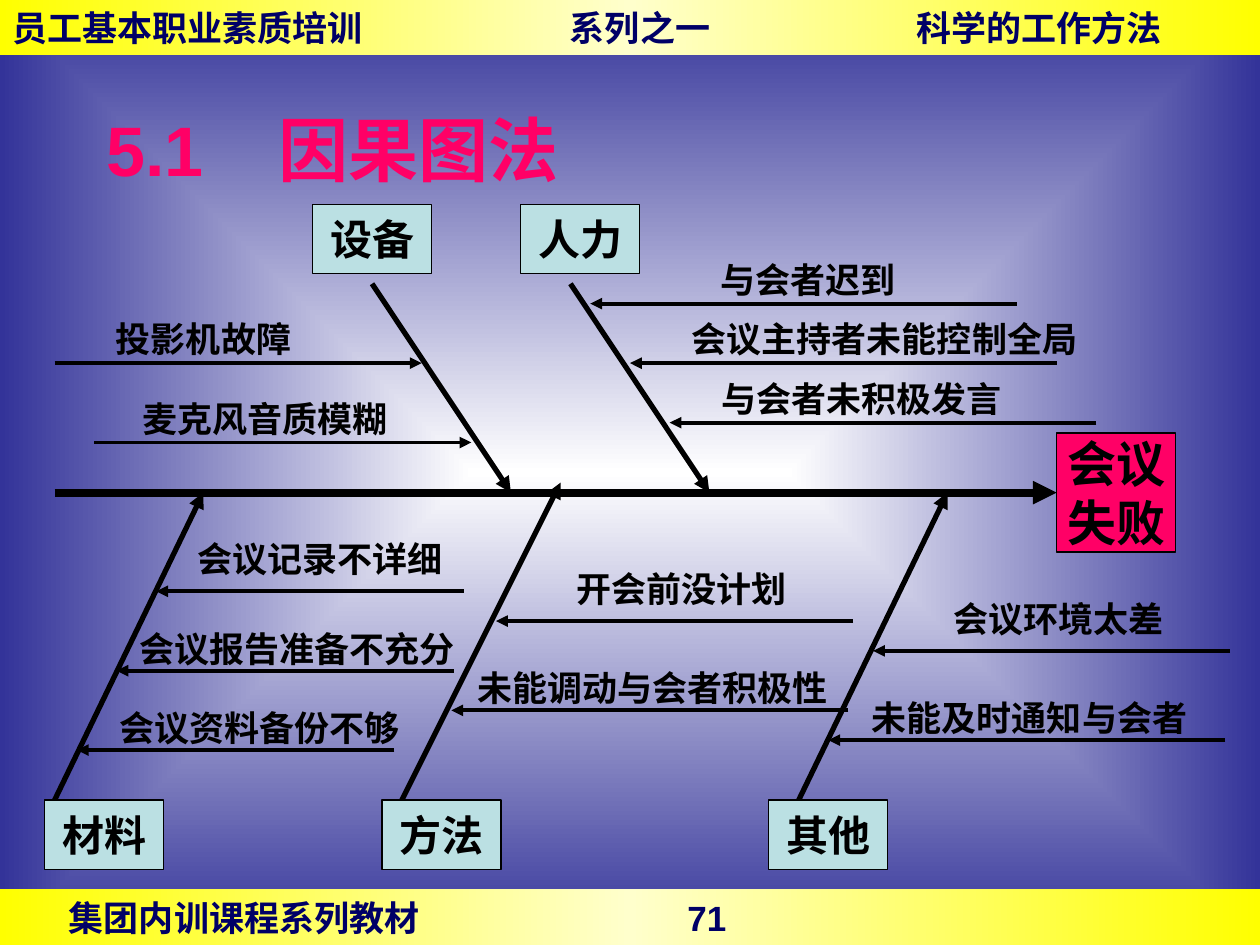
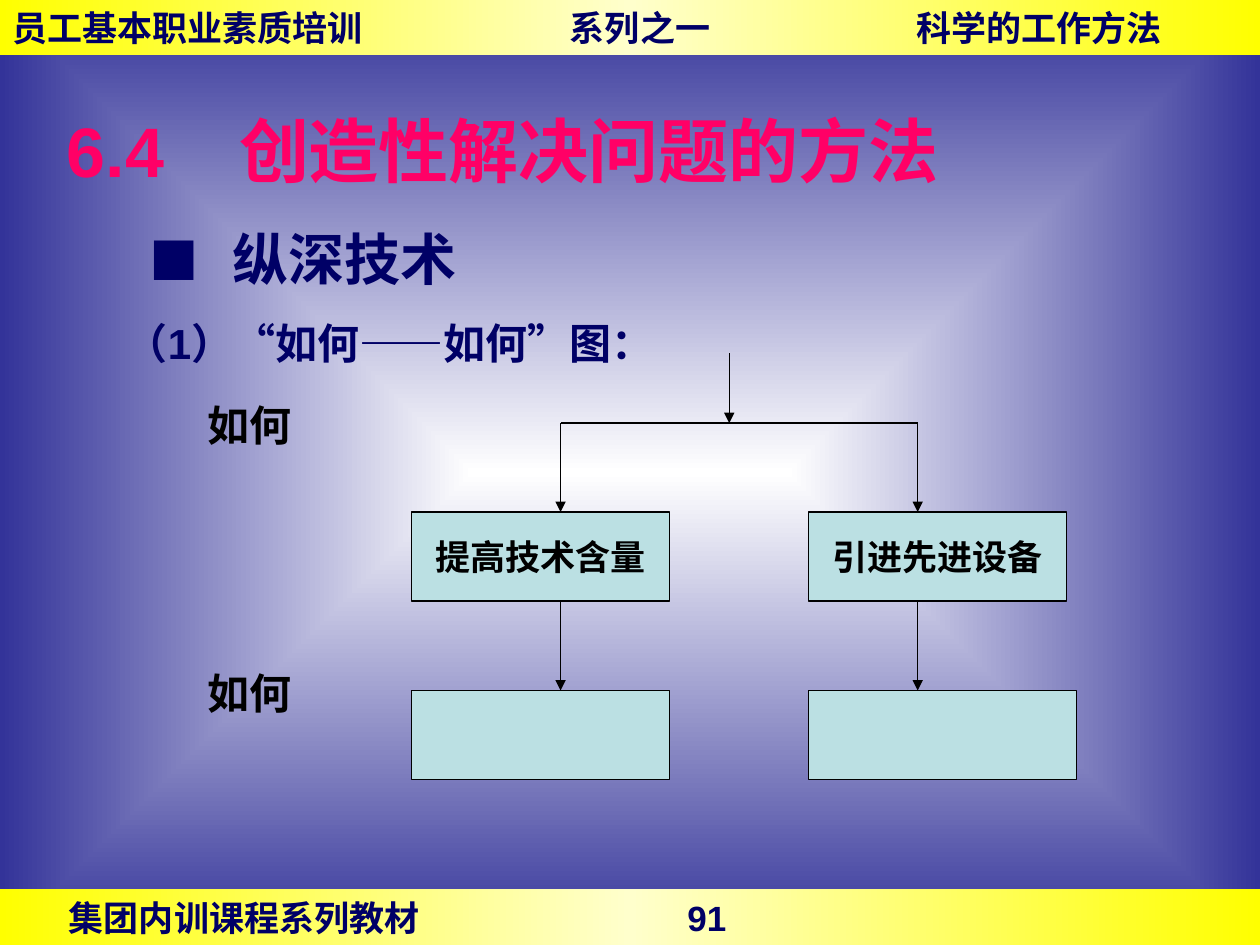
from lxml.etree import SubElement
from pptx import Presentation
from pptx.dml.color import RGBColor
from pptx.enum.lang import MSO_LANGUAGE_ID
from pptx.enum.shapes import MSO_CONNECTOR, MSO_SHAPE
from pptx.enum.text import MSO_ANCHOR, MSO_AUTO_SIZE, PP_ALIGN
from pptx.oxml.ns import qn
from pptx.util import Cm, Pt

BLACK, NAVY, PINK, PALE_BLUE = "000000", "000066", "FF0066", "BBE0E3"
BAND_STOPS = [(0, "FFFF00"), (50, "FFFFCC"), (100, "FFFF00")]
BACKGROUND_STOPS = [(0, "FFFFFF"), (100, "333399")]
SLIDE_WIDTH, SLIDE_HEIGHT, BAND_HEIGHT = 25.4, 19.05, 1.12
LABEL_MARGIN = 0.28
CM_PER_POINT = 2.54 / 72

SPINE_Y = 9.93
CATEGORY_WIDTH, CATEGORY_HEIGHT = 2.4, 1.4
UPPER_TOP, LOWER_TOP = 4.12, 16.13
UPPER_BONE_Y = 5.72

# name, box left, box top, bone start, bone end
CATEGORIES = [
    ("设备", 6.3, UPPER_TOP, (7.5, UPPER_BONE_Y), (10.3, SPINE_Y)),
    ("人力", 10.5, UPPER_TOP, (11.5, UPPER_BONE_Y), (14.3, SPINE_Y)),
    ("材料", 0.9, LOWER_TOP, (1.1, LOWER_TOP), (4.1, SPINE_Y)),
    ("方法", 7.7, LOWER_TOP, (8.1, LOWER_TOP), (11.3, 9.73)),
    ("其他", 15.5, LOWER_TOP, (16.1, LOWER_TOP), (19.1, SPINE_Y)),
]

# cause, label left, label rise above its arrow, arrow start x, arrow end x, arrow y
CAUSES = [
    ("投影机故障", 2.06, 1.04, 1.1, 8.5, 7.32),
    ("麦克风音质模糊", 2.59, 1.04, 1.9, 9.5, 8.92),
    ("与会者迟到", 14.25, 1.04, 20.5, 11.9, 6.12),
    ("会议主持者未能控制全局", 13.67, 1.04, 21.3, 12.7, 7.32),
    ("与会者未积极发言", 14.27, 1.04, 22.1, 13.5, 8.52),
    ("会议记录不详细", 3.7, 1.2, 9.35, 3.15, 11.92),
    ("会议报告准备不充分", 2.54, 1, 9.15, 2.35, 13.52),
    ("会议资料备份不够", 2.13, 1, 7.95, 1.55, 15.12),
    ("开会前没计划", 11.35, 1.2, 17.2, 10, 12.52),
    ("未能调动与会者积极性", 9.35, 1, 17.1, 9.1, 14.32),
    ("会议环境太差", 18.95, 1.2, 24.8, 17.6, 13.12),
    ("未能及时通知与会者", 17.3, 1, 24.7, 16.7, 14.92),
]


def rgb(code):
    return RGBColor.from_string(code)


def set_gradient(fill, properties, stops, direction, **attributes):
    """Give the fill held in properties these stops and a lin or path direction."""
    fill.gradient()
    gradient = properties.find(qn("a:gradFill"))
    for child in list(gradient):
        gradient.remove(child)
    stop_list = SubElement(gradient, qn("a:gsLst"))
    for percent, code in stops:
        stop = SubElement(stop_list, qn("a:gs"), pos=str(percent * 1000))
        SubElement(stop, qn("a:srgbClr"), val=code)
    return SubElement(gradient, qn(f"a:{direction}"), **attributes)


def paint_background(master):
    fill = master.background.fill
    properties = master.element.find(".//" + qn("p:bgPr"))
    path = set_gradient(fill, properties, BACKGROUND_STOPS, "path", path="rect")
    SubElement(path, qn("a:fillToRect"), l="50000", t="50000", r="50000", b="50000")


def write(frame, text, size=20, color=BLACK, align=PP_ALIGN.LEFT,
          anchor=MSO_ANCHOR.MIDDLE, wrap=True, tabs=()):
    """Fill a text frame, one paragraph for each line of text."""
    frame.word_wrap = wrap
    frame.vertical_anchor = anchor
    for index, line in enumerate(text.split("\n")):
        paragraph = frame.add_paragraph() if index else frame.paragraphs[0]
        paragraph.alignment = align
        if tabs:
            tab_list = SubElement(paragraph._p.get_or_add_pPr(), qn("a:tabLst"))
            for stop in tabs:
                SubElement(tab_list, qn("a:tab"), pos=str(Cm(stop)), algn="l")
        add_run(paragraph, line, size, color)


def add_run(paragraph, text, size, color):
    run = paragraph.add_run()
    run.text = text
    run.font.name = "Arial"
    run.font.size = Pt(size)
    run.font.bold = True
    run.font.color.rgb = rgb(color)
    run.font.language_id = MSO_LANGUAGE_ID.SIMPLIFIED_CHINESE


def add_rectangle(slide, left, top, width, height):
    rectangle = slide.shapes.add_shape(
        MSO_SHAPE.RECTANGLE, Cm(left), Cm(top), Cm(width), Cm(height))
    rectangle.shadow.inherit = False
    return rectangle


def add_band(slide, top, text, tabs):
    band = add_rectangle(slide, 0, top, SLIDE_WIDTH, BAND_HEIGHT)
    set_gradient(band.fill, band.element.spPr, BAND_STOPS, "lin", ang="10800000")
    band.line.fill.background()
    write(band.text_frame, text, color=NAVY, tabs=tabs)


def add_box(slide, text, left, top, width, height, size=24, fill=PALE_BLUE):
    box = add_rectangle(slide, left, top, width, height)
    box.fill.solid()
    box.fill.fore_color.rgb = rgb(fill)
    box.line.color.rgb = rgb(BLACK)
    box.line.width = Pt(0.75)
    if text:
        write(box.text_frame, text, size=size, align=PP_ALIGN.CENTER, wrap=False)
    return box


def add_text(slide, text, left, top, width, height, **style):
    area = slide.shapes.add_textbox(Cm(left), Cm(top), Cm(width), Cm(height))
    write(area.text_frame, text, **style)
    return area


def add_label(slide, text, left, top, size=20):
    """Add a one-line label whose box fits its full-width characters."""
    width = len(text) * size * CM_PER_POINT + 2 * LABEL_MARGIN
    label = add_text(slide, text, left, top, width, 1.12, size=size,
                     align=PP_ALIGN.CENTER, anchor=MSO_ANCHOR.TOP, wrap=False)
    label.text_frame.auto_size = MSO_AUTO_SIZE.SHAPE_TO_FIT_TEXT


def add_line(slide, start, end, width=0.75, arrow=True):
    line = slide.shapes.add_connector(
        MSO_CONNECTOR.STRAIGHT, *(Cm(value) for value in (*start, *end)))
    line.line.color.rgb = rgb(BLACK)
    line.line.width = Pt(width)
    properties = line.element.spPr
    if arrow:
        SubElement(properties.find(qn("a:ln")), qn("a:tailEnd"), type="triangle")
    SubElement(properties, qn("a:effectLst"))
    return line


def add_course_slide(deck, page, title, left, top):
    """Add a slide with the shared bands and title style."""
    slide = deck.slides.add_slide(deck.slide_layouts[6])
    add_band(slide, SLIDE_HEIGHT - BAND_HEIGHT,
             f"\t集团内训课程系列教材\t{page}", (1.14, 13.61))
    add_band(slide, 0, "员工基本职业素质培训\t系列之一\t科学的工作方法", (11.24, 18.23))
    add_text(slide, title, left, top, 21, 1.3, size=40, color=PINK, tabs=(3.47,))
    return slide


def add_fishbone(slide):
    effect = add_box(slide, "会议\n失败", 21.3, 8.73, 2.4, 2.4, size=28, fill=PINK)
    spine = add_line(slide, (1.1, SPINE_Y), (21.3, SPINE_Y), width=4.5)
    spine.end_connect(effect, 1)
    for name, left, top, start, end in CATEGORIES:
        add_line(slide, start, end, width=3)
        add_box(slide, name, left, top, CATEGORY_WIDTH, CATEGORY_HEIGHT)
    for cause, left, rise, start_x, end_x, y in CAUSES:
        add_line(slide, (start_x, y), (end_x, y), width=2.25)
        add_label(slide, cause, left, y - rise)


def add_technique_heading(slide):
    area = add_text(slide, "纵深技术\n（1）“如何——如何”图：", 2.11, 3.73, 13.59, 3.81,
                    size=24, color=NAVY, anchor=MSO_ANCHOR.TOP)
    heading, diagram_name = area.text_frame.paragraphs
    for paragraph in (heading, diagram_name):
        paragraph.line_spacing = 1.5
    heading.runs[0].font.size = Pt(32)
    properties = heading._p.get_or_add_pPr()
    properties.set("marL", str(Cm(2.32)))
    properties.set("indent", str(Cm(-1.66)))
    SubElement(properties, qn("a:buSzPct"), val="88000")
    SubElement(properties, qn("a:buFont"), typeface="Noto Sans CJK SC")
    SubElement(properties, qn("a:buChar"), char="■")
    diagram_name._p.get_or_add_pPr().set("marL", str(Cm(0.18)))


def add_how_diagram(slide):
    box_height, row_step = 1.8, 3.6
    fork_y, first_row = 8.53, 10.32
    second_row = first_row + row_step
    branches = [("提高技术含量", 8.3, 5.2, 11.3), ("引进先进设备", 16.3, 5.4, 18.5)]
    for top in (7.92, 13.34):
        add_label(slide, "如何", 3.91, top, size=24)
    for measure, left, lower_width, stem_x in branches:
        add_box(slide, measure, left, first_row, 5.2, box_height, size=20)
        add_box(slide, "", left, second_row, lower_width, box_height)
        add_line(slide, (stem_x, fork_y), (stem_x, first_row))
        add_line(slide, (stem_x, first_row + box_height), (stem_x, second_row))
    add_line(slide, (branches[0][-1], fork_y), (branches[1][-1], fork_y), arrow=False)
    add_line(slide, (14.7, 7.12), (14.7, fork_y))


def main():
    deck = Presentation()
    deck.slide_width, deck.slide_height = Cm(SLIDE_WIDTH), Cm(SLIDE_HEIGHT)
    paint_background(deck.slide_master)

    add_fishbone(add_course_slide(deck, 71, "5.1\t因果图法", 1.9, 2.34))

    how_slide = add_course_slide(deck, 91, "6.4\t创造性解决问题的方法", 1.1, 2.36)
    add_technique_heading(how_slide)
    add_how_diagram(how_slide)

    deck.save("out.pptx")


if __name__ == "__main__":
    main()
